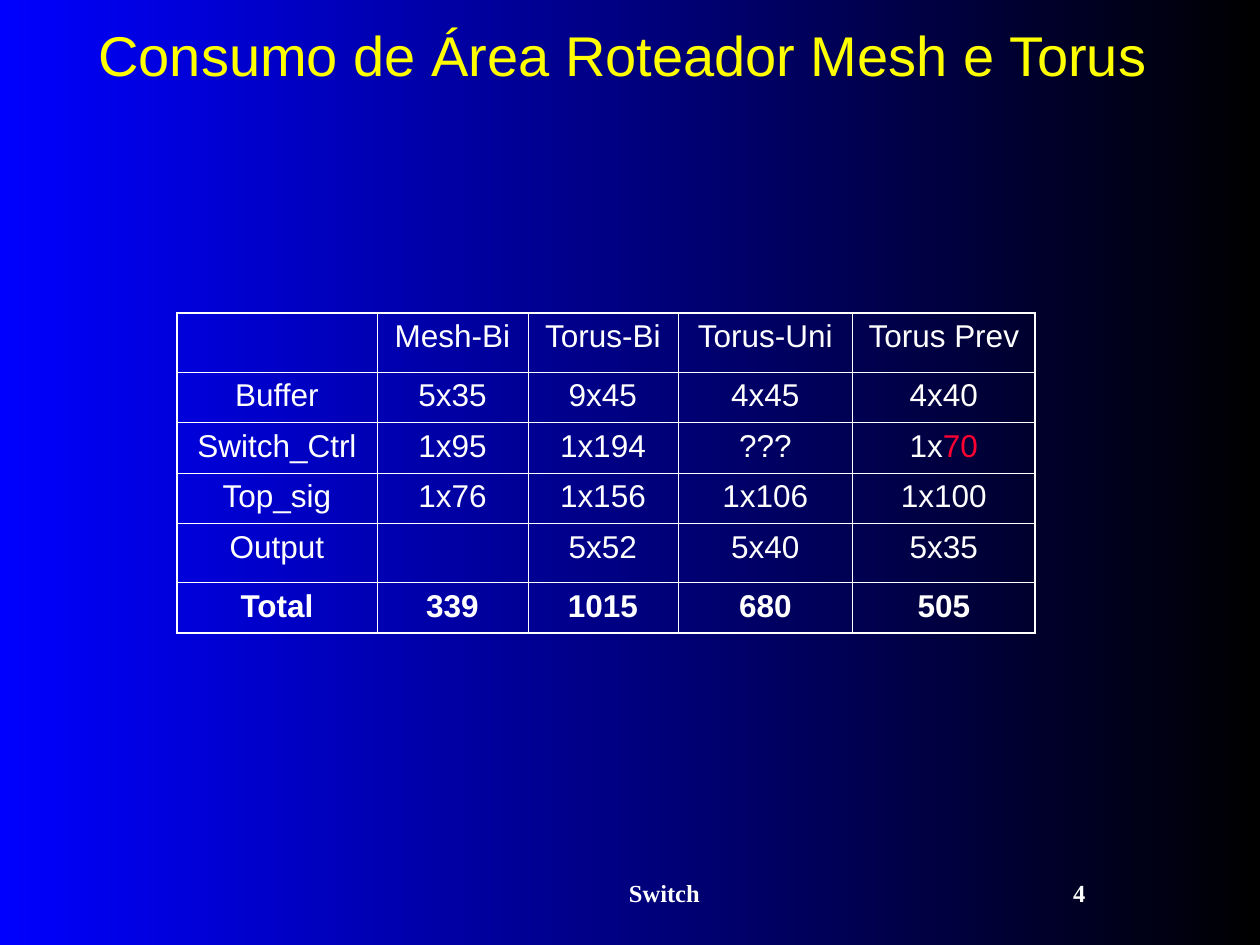
"""Build the router area consumption slide, Mesh against Torus."""
from dataclasses import dataclass, replace

from lxml import etree
from pptx import Presentation
from pptx import util as u
from pptx.dml.color import RGBColor
from pptx.enum import text
from pptx.oxml.ns import qn

EMU_PER_PX = 914400 / 126
WHITE, YELLOW, RED, BLUE, BLACK = "FFFFFF", "FFFF00", "FF0033", "0000FF", "000000"
OUTER_PT, INNER_PT = 1.08, 0.45


@dataclass(frozen=True)
class Run:
    words: str
    size: int = 18
    font: str = "Arial"
    color: str = WHITE
    bold: bool = False


@dataclass(frozen=True)
class Box:
    left: int
    top: int
    width: int
    height: int


COLUMN_WIDTHS = (200, 151, 150, 175, 182)
ROW_HEIGHTS = (59, 49, 49, 49, 59, 49)
AREAS = (
    ("", "Mesh-Bi", "Torus-Bi", "Torus-Uni", "Torus Prev"),
    ("Buffer", "5x35", "9x45", "4x45", "4x40"),
    ("Switch_Ctrl", "1x95", "1x194", "???", (Run("1x"), Run("70", color=RED))),
    ("Top_sig", "1x76", "1x156", "1x106", "1x100"),
    ("Output", "", "5x52", "5x40", "5x35"),
    ("Total", "339", "1015", "680", "505"),
)


def px(length: int) -> u.Emu:
    """Turn pixels into EMU."""
    return u.Emu(round(length * EMU_PER_PX))


def rgb(color: str) -> RGBColor:
    """Turn a hex string into a colour."""
    return RGBColor.from_string(color)


def write(paragraph, runs: tuple[Run, ...], align=text.PP_ALIGN.CENTER) -> None:
    """Add the runs to an aligned paragraph."""
    paragraph.alignment = align
    for part in runs:
        run = paragraph.add_run()
        run.text = part.words
        run.font.size = u.Pt(part.size)
        run.font.name = part.font
        run.font.bold = part.bold
        run.font.color.rgb = rgb(part.color)


def add_text_frame(slide, box: Box, anchor):
    """Add a wrapping text box and return its frame."""
    shape = slide.shapes.add_textbox(px(box.left), px(box.top), px(box.width), px(box.height))
    frame = shape.text_frame
    frame.word_wrap = True
    frame.vertical_anchor = anchor
    return frame


def add_center_tabs(paragraph, positions: tuple[int, ...]) -> None:
    """Give a paragraph centred tab stops."""
    tabs = etree.SubElement(paragraph._p.get_or_add_pPr(), qn("a:tabLst"))
    for position in positions:
        etree.SubElement(tabs, qn("a:tab"), pos=str(px(position)), algn="ctr")


def set_borders(cell, widths: dict[str, float]) -> None:
    """Draw white borders of the given widths in points, without a cell fill."""
    cell.fill.background()
    properties = cell._tc.get_or_add_tcPr()
    for index, (side, width) in enumerate(widths.items()):
        line = etree.Element(qn(f"a:ln{side}"), w=str(u.Pt(width)))
        fill = etree.SubElement(line, qn("a:solidFill"))
        etree.SubElement(fill, qn("a:srgbClr"), val=WHITE)
        properties.insert(index, line)


def add_area_table(slide, left: int, top: int) -> None:
    """Add the table of areas per router part."""
    last_row, last_column = len(ROW_HEIGHTS) - 1, len(COLUMN_WIDTHS) - 1
    table = slide.shapes.add_table(
        len(ROW_HEIGHTS), len(COLUMN_WIDTHS), px(left), px(top),
        px(sum(COLUMN_WIDTHS)), px(sum(ROW_HEIGHTS))).table
    table.first_row = table.horz_banding = False
    for column, width in zip(table.columns, COLUMN_WIDTHS):
        column.width = px(width)
    for r, (height, areas) in enumerate(zip(ROW_HEIGHTS, AREAS)):
        table.rows[r].height = px(height)
        for c, area in enumerate(areas):
            cell = table.cell(r, c)
            edges = {"L": c == 0, "R": c == last_column, "T": r == 0, "B": r == last_row}
            set_borders(cell, {side: OUTER_PT if outer else INNER_PT
                               for side, outer in edges.items()})
            if area:
                runs = (Run(area),) if isinstance(area, str) else area
                write(cell.text_frame.paragraphs[0],
                      tuple(replace(run, bold=r == last_row) for run in runs))


def paint_background(slide) -> None:
    """Fill the background with a gradient from blue at left to black at right."""
    fill = slide.background.fill
    fill.gradient()
    fill.gradient_angle = 180
    for stop, position, color in zip(fill.gradient_stops, (0, 1), (BLACK, BLUE)):
        stop.position = position
        stop.color.rgb = rgb(color)


def main() -> None:
    """Build and save the slide."""
    deck = Presentation()
    deck.slide_width, deck.slide_height = px(1260), px(945)
    slide = deck.slides.add_slide(deck.slide_layouts[6])
    paint_background(slide)

    footer = add_text_frame(slide, Box(233, 872, 885, 42), text.MSO_ANCHOR.TOP).paragraphs[0]
    add_center_tabs(footer, (419, 834))
    write(footer, (Run("\tSwitch\t4", 14, "Times New Roman", bold=True),), text.PP_ALIGN.LEFT)

    title = add_text_frame(slide, Box(27, 15, 1192, 79), text.MSO_ANCHOR.MIDDLE).paragraphs[0]
    write(title, (Run("Consumo de Área Roteador Mesh e Torus", 32, color=YELLOW),))

    add_area_table(slide, 177, 313)
    deck.save("out.pptx")


if __name__ == "__main__":
    main()
